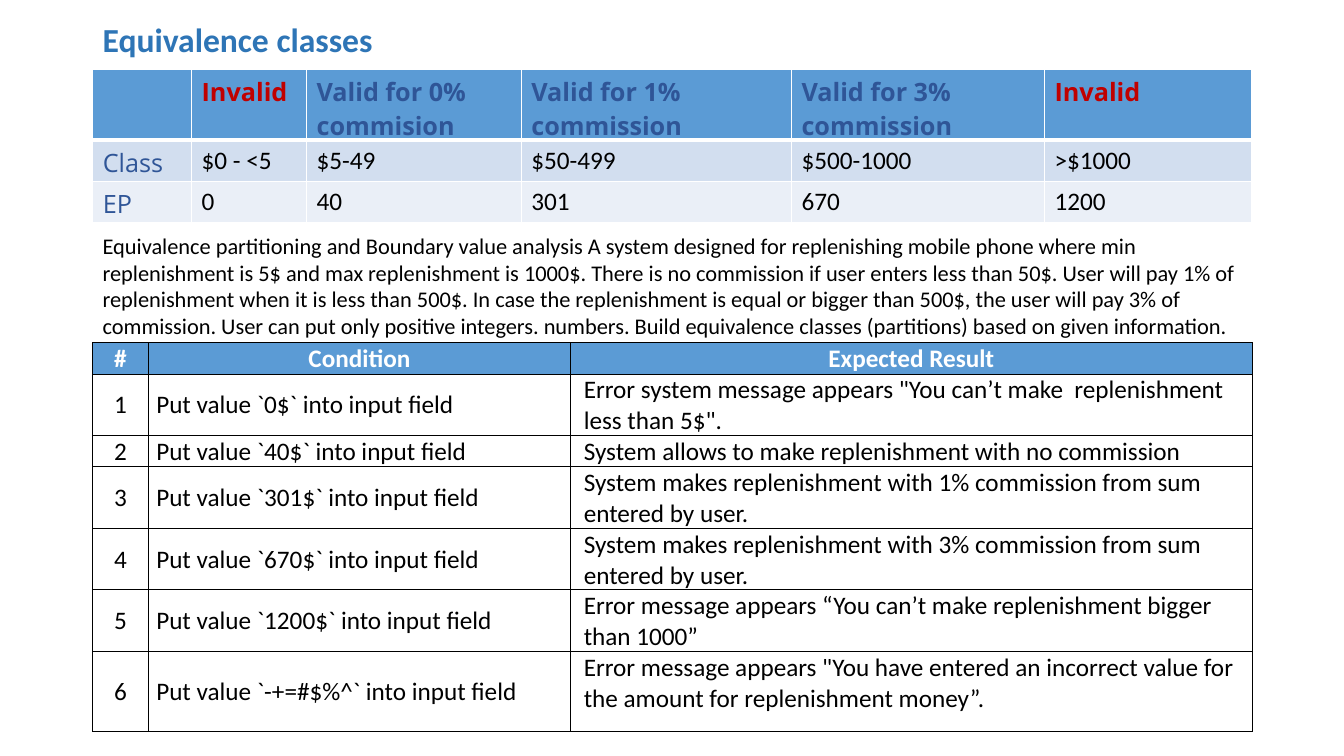
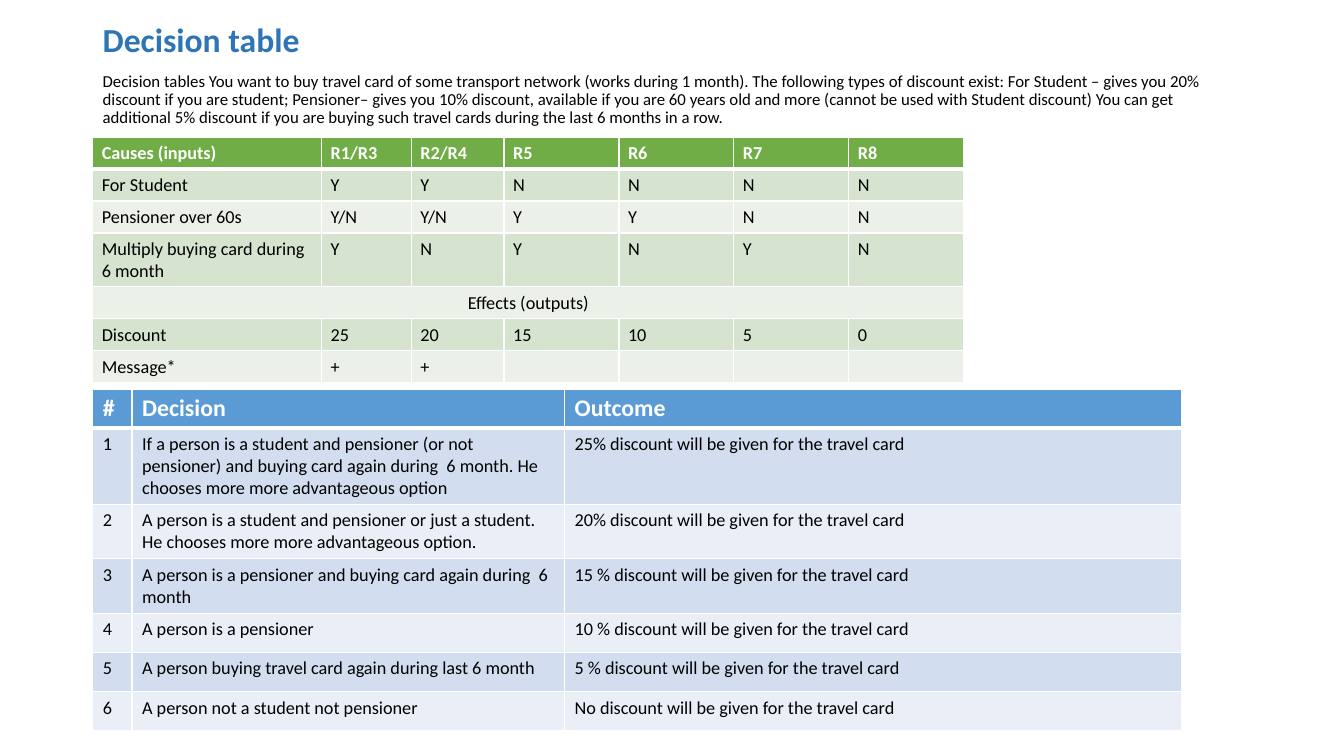
from dataclasses import dataclass

from lxml import etree
from pptx import Presentation
from pptx.dml.color import RGBColor
from pptx.enum import text as tx
from pptx.oxml.ns import qn
from pptx.util import Inches, Pt

BLACK, WHITE = "000000", "FFFFFF"
BLUE, TITLE, NAVY, RED = "5B9BD5", "2E75B6", "2F5597", "C00000"
GREEN = "70AD47"
SKY, LEAF = ("D2DEEF", "EAEFF7"), ("D5E3CF", "EBF1E9")
LEFT, WIDE = 0.92, 11.5
MID, TOP = tx.MSO_ANCHOR.MIDDLE, tx.MSO_ANCHOR.TOP


@dataclass
class Look:
    """How a table is drawn."""
    head: str = BLUE
    bands: tuple = SKY
    line: str = WHITE
    width: float = 1
    rule: float = 3
    size: float = 18
    top: float = 18
    inset: tuple = (0.1, 0.05, 0.1, 0.05)


def hue(code):
    """Turn a hex string into a colour."""
    return RGBColor.from_string(code)


def ink(para, size, code, bold=False, font="Calibri"):
    """Format the runs of a paragraph, or its end mark if it is empty."""
    for run in para.runs:
        run.font.name = font
        run.font.size = Pt(size)
        run.font.bold = bold
        run.font.color.rgb = hue(code)
    if not para.runs:
        end = etree.SubElement(para._p, qn("a:endParaRPr"))
        end.set("sz", str(int(size * 100)))


def label(slide, words, at, size, code=BLACK, bold=False, space=1.0, anchor=TOP):
    """Add a wrapped text box."""
    frame = slide.shapes.add_textbox(*map(Inches, at)).text_frame
    frame.word_wrap = True
    frame.vertical_anchor = anchor
    frame.text = words
    para = frame.paragraphs[0]
    para.line_spacing = space
    ink(para, size, code, bold)


def title(slide, words):
    """Add the slide title."""
    label(slide, words, (LEFT, 0.17, WIDE, 0.49), 24, TITLE, True, 0.9, MID)


def edge(cell, code, **widths):
    """Draw the four borders of a cell."""
    props = cell._tc.get_or_add_tcPr()
    for side, width in widths.items():
        line = etree.SubElement(props, qn("a:ln" + side), w=str(Pt(width)))
        fill = etree.SubElement(line, qn("a:solidFill"))
        etree.SubElement(fill, qn("a:srgbClr"), val=code)


def dress(cell, row, look):
    """Set borders, fill, margins and font of a cell."""
    wide = look.width
    edge(cell, look.line, L=wide, R=wide,
         T=look.rule if row == 1 else wide,
         B=look.rule if row == 0 else wide)
    fill = look.head if row == 0 else look.bands and look.bands[(row - 1) % 2]
    if fill:
        cell.fill.solid()
        cell.fill.fore_color.rgb = hue(fill)
    else:
        cell.fill.background()
    (cell.margin_left, cell.margin_top,
     cell.margin_right, cell.margin_bottom) = map(Inches, look.inset)
    para = cell.text_frame.paragraphs[0]
    if row == 0:
        ink(para, look.top, WHITE, True)
    else:
        ink(para, look.size, BLACK)


def grid(slide, top, cols, highs, cells, look):
    """Add a table and return it."""
    box = map(Inches, (LEFT, top, sum(cols), sum(highs)))
    table = slide.shapes.add_table(len(highs), len(cols), *box).table
    table.horz_banding = False
    for col, wide in zip(table.columns, cols):
        col.width = Inches(wide)
    for r, (words, high) in enumerate(zip(cells, highs)):
        table.rows[r].height = Inches(high)
        for c in range(len(cols)):
            cell = table.cell(r, c)
            cell.text = words[c] if c < len(words) else ""
            dress(cell, r, look)
    return table


def classes(slide):
    """Build the slide on equivalence classes."""
    title(slide, "Equivalence classes")
    cells = [
        ("", "Invalid", "Valid for 0% commision", "Valid for 1% commission",
         "Valid for 3% commission", "Invalid"),
        ("Class", "$0 - <5", "$5-49", "$50-499", "$500-1000", ">$1000"),
        ("EP", "0", "40", "301", "670", "1200"),
    ]
    table = grid(slide, 0.69, (0.98, 1.14, 2.13, 2.68, 2.51, 2.05),
                 (0.41,) * 3, cells, Look())
    for c in range(1, 6):
        code = RED if cells[0][c] == "Invalid" else NAVY
        ink(table.cell(0, c).text_frame.paragraphs[0], 18, code, True, "Open Sans")
    for r in (1, 2):
        ink(table.cell(r, 0).text_frame.paragraphs[0], 18, NAVY, False, "Open Sans")

    label(slide, "Equivalence partitioning and Boundary value analysis A system "
          "designed for replenishing mobile phone where min replenishment is 5$ "
          "and max replenishment is 1000$. There is no commission if user enters "
          "less than 50$. User will pay 1% of replenishment when it is less than "
          "500$. In case the replenishment is equal or bigger than 500$, the user "
          "will pay 3% of commission. User can put only positive integers. numbers. "
          "Build equivalence classes (partitions) based on given information.",
          (LEFT, 2.25, WIDE, 1.45), 16)

    share = "System makes replenishment with {}% commission from sum entered by user."
    cases = [
        ("0$", "Error system message appears \"You can’t make  replenishment "
         "less than 5$\"."),
        ("40$", "System allows to make replenishment with no commission"),
        ("301$", share.format(1)),
        ("670$", share.format(3)),
        ("1200$", "Error message appears “You can’t make replenishment bigger "
         "than 1000”"),
        ("-+=#$%^", "Error message appears \"You have entered an incorrect value "
         "for the amount for replenishment money”."),
    ]
    cells = [("#", "Condition", "Expected Result")]
    cells += [(str(n), f"Put value `{value}` into input field", result)
              for n, (value, result) in enumerate(cases, 1)]
    look = Look(bands=(), line=BLACK, width=0.5, rule=0.5,
                inset=(0.01, 0.01, 0.01, 0))
    table = grid(slide, 3.4, (0.55, 4.19, 6.76),
                 (0.31, 0.58, 0.29, 0.58, 0.58, 0.58, 0.79), cells, look)
    for r in range(len(cells)):
        for c, indent in enumerate((0, 0.07, 0.12)):
            cell = table.cell(r, c)
            para = cell.text_frame.paragraphs[0]
            cell.vertical_anchor = TOP if r and c == 2 else MID
            if r == 0 or c == 0:
                para.alignment = tx.PP_ALIGN.CENTER
            else:
                para._p.get_or_add_pPr().set("marL", str(Inches(indent)))


def choices(slide):
    """Build the slide on the decision table."""
    label(slide, "Decision tables You want to buy travel card of some transport "
          "network (works during 1 month). The following types of discount exist: "
          "For Student – gives you 20% discount if you are student; Pensioner– "
          "gives you 10% discount, available if you are 60 years old and more "
          "(cannot be used with Student discount) You can get additional 5% "
          "discount if you are buying such travel cards during the last 6 months "
          "in a row.", (LEFT, 0.67, WIDE, 1.38), 12, space=0.9)
    title(slide, "Decision table")

    cells = [
        ("Causes (inputs)", "R1/R3", "R2/R4", "R5", "R6", "R7", "R8"),
        ("For Student", *"YYNNNN"),
        ("Pensioner over 60s", "Y/N", "Y/N", *"YYNN"),
        ("Multiply buying card during 6 month", *"YNYNYN"),
        ("Effects (outputs)",),
        ("Discount", "25", "20", "15", "10", "5", "0"),
        ("Message*", "+", "+"),
    ]
    look = Look(head=GREEN, bands=LEAF, size=13, top=13,
                inset=(0.09, 0.05, 0.09, 0.05))
    table = grid(slide, 1.36, (2.27, 0.89, 0.92) + (1.14,) * 4,
                 (0.31,) * 3 + (0.53,) + (0.31,) * 3, cells, look)
    table.cell(4, 0).merge(table.cell(4, 6))
    table.cell(4, 0).text_frame.paragraphs[0].alignment = tx.PP_ALIGN.CENTER

    cases = [
        ("If a person is a student and pensioner (or not pensioner) and buying card "
         "again during  6 month. He chooses more more advantageous option", "25%"),
        ("A person is a student and pensioner or just a student. He chooses more "
         "more advantageous option.", "20%"),
        ("A person is a pensioner and buying card again during  6 month", "15 %"),
        ("A person is a pensioner", "10 %"),
        ("A person buying travel card again during last 6 month", "5 %"),
        ("A person not a student not pensioner", "No"),
    ]
    cells = [("#", "Decision", "Outcome")]
    cells += [(str(n), who, f"{rate} discount will be given for the travel card")
              for n, (who, rate) in enumerate(cases, 1)]
    grid(slide, 3.86, (0.39, 4.29, 6.12),
         (0.38, 0.76, 0.54, 0.54, 0.39, 0.39, 0.39), cells, Look(size=13, top=17))


def main():
    """Build and save the deck."""
    deck = Presentation()
    deck.slide_width, deck.slide_height = Inches(13.33), Inches(7.5)
    for build in (classes, choices):
        build(deck.slides.add_slide(deck.slide_layouts[6]))
    deck.save("out.pptx")


main()
